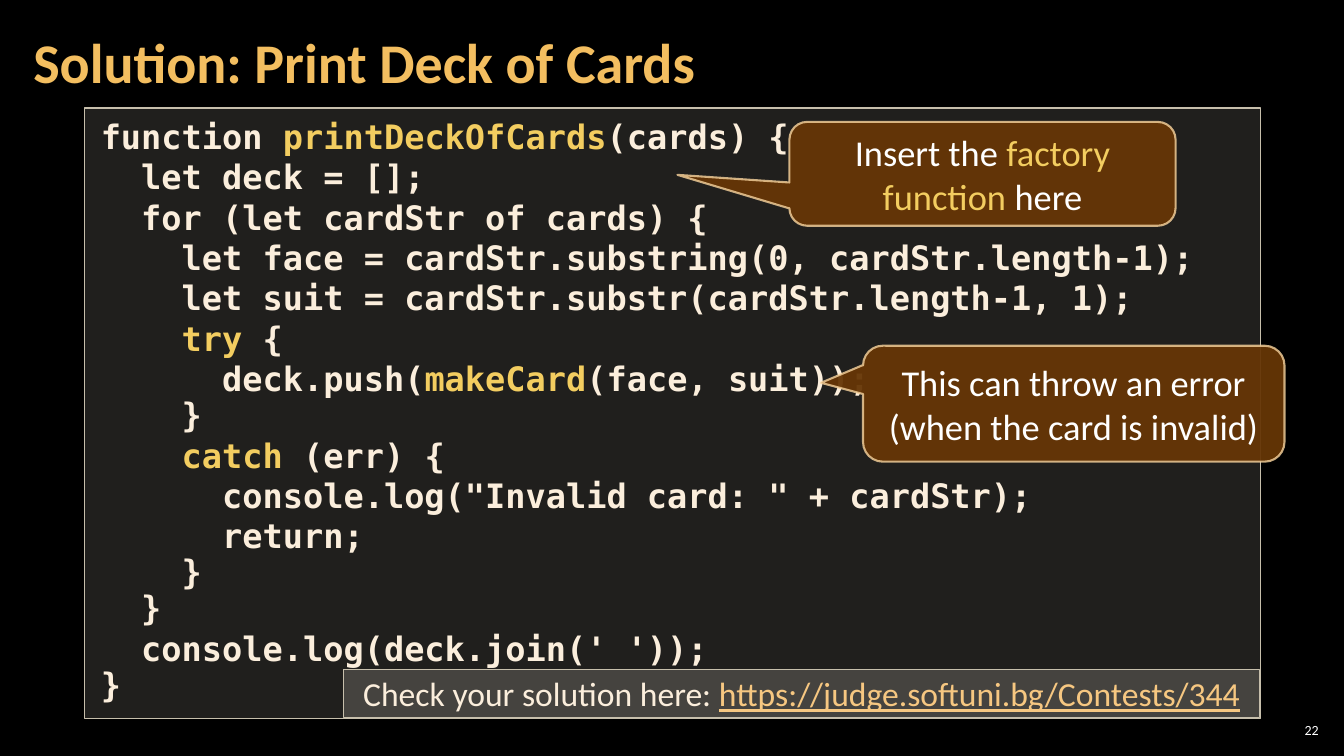
"""Build the slide that shows the solution for printing a deck of cards."""
from dataclasses import dataclass

import pptx
import pptx.dml.color
import pptx.enum.shapes
import pptx.enum.text
import pptx.oxml
import pptx.oxml.ns
import pptx.util

PX = 9144
SHAPES = pptx.enum.shapes.MSO_SHAPE
ANCHOR = pptx.enum.text.MSO_ANCHOR
ALIGN = pptx.enum.text.PP_ALIGN


@dataclass(frozen=True)
class Theme:
    """Colours, fonts and type sizes of the slide."""
    background: str = "000000"
    title: str = "F3BE60"
    white: str = "FFFFFF"
    cream: str = "FBEEDC"
    highlight: str = "F3CD60"
    link: str = "F6C781"
    panel: str = "D9D5C7"
    panel_line: str = "C7BFAC"
    callout: str = "663606"
    callout_line: str = "F8D49E"
    body_font: str = "Calibri"
    code_font: str = "DejaVu Sans Mono"
    title_size: int = 40
    callout_size: int = 26
    code_size: int = 24
    number_size: int = 10


CODE = """function |printDeckOfCards|(cards) {
  let deck = [];
  for (let cardStr of cards) {
    let face = cardStr.substring(0, cardStr.length-1);
    let suit = cardStr.substr(cardStr.length-1, 1);
    |try| {
      deck.push(|makeCard|(face, suit));
    }
    |catch| (err) {
      console.log("Invalid card: " + cardStr);
      return;
    }
  }
  console.log(deck.join(' '));
}"""


class SlideBuilder:
    """Draws the elements of one slide in one theme."""

    def __init__(self, deck, theme):
        """Add a title-only slide with the theme's background."""
        self.theme = theme
        self.slide = deck.slides.add_slide(deck.slide_layouts[5])
        self.paint(self.slide.background.fill, theme.background)

    def paint(self, fill, colour, opacity=100):
        """Give a fill a solid colour and an opacity in percent."""
        fill.solid()
        fill.fore_color.rgb = pptx.dml.color.RGBColor.from_string(colour)
        if opacity < 100:
            rgb = fill._xPr.find(".//" + pptx.oxml.ns.qn("a:srgbClr"))
            alpha = pptx.oxml.parse_xml(
                f'<a:alpha {pptx.oxml.ns.nsdecls("a")} val="{opacity * 1000}"/>')
            rgb.append(alpha)

    def frame(self, shape, inset_x, inset_y, anchor):
        """Set the insets, wrapping and anchor of a shape's text."""
        text = shape.text_frame
        text.word_wrap = True
        text.auto_size = pptx.enum.text.MSO_AUTO_SIZE.NONE
        text.margin_left = text.margin_right = inset_x * PX
        text.margin_top = text.margin_bottom = inset_y * PX
        text.vertical_anchor = anchor
        return text

    def add_lines(self, text, lines, size, colour, accent=None, font=None,
                  bold=False, underline=False, align=ALIGN.LEFT):
        """Add lines whose parts between bars take the accent colour."""
        for index, line in enumerate(lines):
            paragraph = text.paragraphs[0] if index == 0 else text.add_paragraph()
            paragraph.alignment = align
            if line.strip() == "}":
                paragraph.line_spacing = 0.9
            for part, words in enumerate(line.split("|")):
                if not words:
                    continue
                accented = part % 2 == 1
                run = paragraph.add_run()
                run.text = words
                run.font.name = font or self.theme.body_font
                run.font.size = pptx.util.Pt(size)
                run.font.bold = bold
                if accented and underline:
                    run.font.underline = True
                self.paint(run.font.fill, accent if accented else colour)

    def title(self, words, left, top, width, height):
        """Place and format the title placeholder."""
        heading = self.slide.shapes.title
        heading.left, heading.top = left * PX, top * PX
        heading.width, heading.height = width * PX, height * PX
        text = self.frame(heading, 12, 4, ANCHOR.MIDDLE)
        self.add_lines(text, [words], self.theme.title_size, self.theme.title, bold=True)
        text.paragraphs[0].line_spacing = 0.9

    def box(self, kind, left, top, width, height, fill, line, weight, line_opacity=100):
        """Add a preset shape with a (colour, opacity) fill and an outline."""
        shape = self.slide.shapes.add_shape(
            kind, left * PX, top * PX, width * PX, height * PX)
        shape.shadow.inherit = False
        self.paint(shape.fill, *fill)
        self.paint(shape.line.fill, line, line_opacity)
        shape.line.width = pptx.util.Pt(weight)
        return shape

    def panel(self, left, top, width, height, opacity, inset_y):
        """Add a translucent panel and return its text frame."""
        panel = self.box(SHAPES.RECTANGLE, left, top, width, height,
                         (self.theme.panel, opacity), self.theme.panel_line, 1)
        return self.frame(panel, 16, inset_y, ANCHOR.TOP)

    def callout(self, lines, left, top, width, height, tip_x, tip_y):
        """Add a rounded callout whose tip is given relative to its centre."""
        callout = self.box(SHAPES.ROUNDED_RECTANGULAR_CALLOUT, left, top, width, height,
                           (self.theme.callout, 95), self.theme.callout_line, 1.5, 80)
        for index, value in enumerate((tip_x, tip_y, 0.17)):
            callout.adjustments[index] = value
        self.add_lines(self.frame(callout, 10, 5, ANCHOR.MIDDLE), lines,
                       self.theme.callout_size, self.theme.white,
                       self.theme.highlight, align=ALIGN.CENTER)

    def page_number(self, number, left, top, width, height):
        """Add the page number."""
        corner = self.slide.shapes.add_textbox(
            left * PX, top * PX, width * PX, height * PX)
        self.add_lines(self.frame(corner, 4, 4, ANCHOR.MIDDLE), [number],
                       self.theme.number_size, self.theme.white, align=ALIGN.RIGHT)


def main():
    """Build and save the slide."""
    theme = Theme()
    deck = pptx.Presentation()
    deck.slide_width, deck.slide_height = 1333 * PX, 750 * PX
    page = SlideBuilder(deck, theme)
    page.page_number("22", 1265, 714, 47, 21)
    page.title("Solution: Print Deck of Cards", 21, 4, 1047, 121)

    solution = page.panel(84, 107, 1166, 606, 15, 8)
    page.add_lines(solution, CODE.split("\n"), theme.code_size, theme.cream,
                   theme.highlight, theme.code_font, bold=True)
    page.callout(["This can throw an error (when the card is invalid)"],
                 856, 343, 418, 115, -0.6, -0.18)

    judge = page.panel(341, 664, 908, 48, 20, 4)
    page.add_lines(judge, ["Check your solution here: |https://judge.softuni.bg/Contests/344"],
                   theme.code_size, theme.cream, theme.link, underline=True,
                   align=ALIGN.CENTER)
    page.callout(["Insert the |factory", "|function |here"],
                 783, 121, 383, 103, -0.79, 0.01)
    deck.save("out.pptx")


if __name__ == "__main__":
    main()
